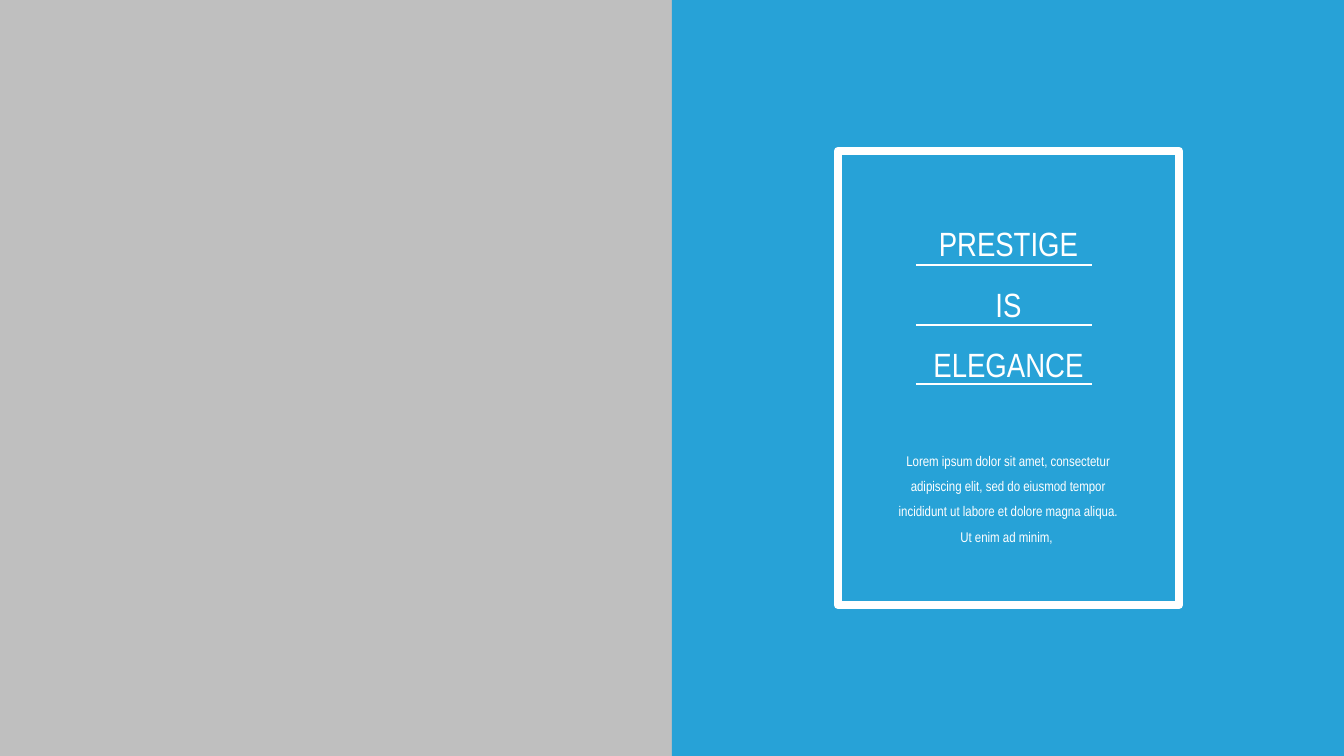
"""Build a split slide with a framed title and a short text."""
from lxml import etree
from pptx import Presentation
from pptx.dml.color import RGBColor
from pptx.enum.shapes import MSO_CONNECTOR, MSO_SHAPE
from pptx.enum.text import MSO_ANCHOR, MSO_AUTO_SIZE, PP_ALIGN
from pptx.oxml.ns import qn
from pptx.util import Pt

RECT = MSO_SHAPE.RECTANGLE
STRAIGHT = MSO_CONNECTOR.STRAIGHT
TOP = MSO_ANCHOR.TOP
FIT = MSO_AUTO_SIZE.SHAPE_TO_FIT_TEXT
CENTER = PP_ALIGN.CENTER
GREY = RGBColor(0xBF, 0xBF, 0xBF)
BLUE = RGBColor(0x27, 0xA2, 0xD7)
WHITE = RGBColor(0xFF, 0xFF, 0xFF)
FONT = "Arial Narrow"
W, H = 1344, 756


def px(*lengths):
    return [round(n * 914400 / 100.8) for n in lengths]


def write(sp, box, lines, size):
    sp.left, sp.top, sp.width, sp.height = px(*box)
    tf = sp.text_frame
    tf.word_wrap = True
    tf.auto_size = FIT
    tf.vertical_anchor = TOP
    for i, line in enumerate(lines):
        p = tf.add_paragraph() if i else tf.paragraphs[0]
        p.alignment = CENTER
        p.line_spacing = 1.5
        r = p.add_run()
        r.text = line
        r.font.name = FONT
        r.font.size = Pt(size)
        r.font.color.rgb = WHITE


prs = Presentation()
prs.slide_width, prs.slide_height = px(W, H)
s = prs.slides.add_slide(prs.slide_layouts[5])

for left, color in ((0, GREY), (W // 2, BLUE)):
    panel = s.shapes.add_shape(RECT, *px(left, 0, W // 2, H))
    panel.shadow.inherit = False
    panel.fill.solid()
    panel.fill.fore_color.rgb = color
    panel.line.fill.background()

frame = s.shapes.add_shape(RECT, *px(838, 151, 341, 454))
frame.shadow.inherit = False
frame.fill.background()
frame.line.color.rgb = WHITE
frame.line.width = Pt(6)

title = s.shapes.title
title.element.getparent().append(title.element)
write(title, (905, 198, 207, 194), ("PRESTIGE", "IS", "ELEGANCE"), 24)

for y in (265, 325, 384):
    rule = s.shapes.add_connector(STRAIGHT, *px(916, y, 1092, y))
    rule.line.color.rgb = WHITE
    rule.line.width = Pt(1.5)
    etree.SubElement(rule.element.spPr, qn("a:effectLst"))

body = s.shapes.add_textbox(*px(885, 439, 246, 109))
write(body, (885, 439, 246, 109), (
    "Lorem ipsum dolor sit amet, consectetur adipiscing elit, "
    "sed do eiusmod tempor incididunt ut labore et dolore magna aliqua. "
    "Ut enim ad minim, ",), 10)

prs.save("out.pptx")
